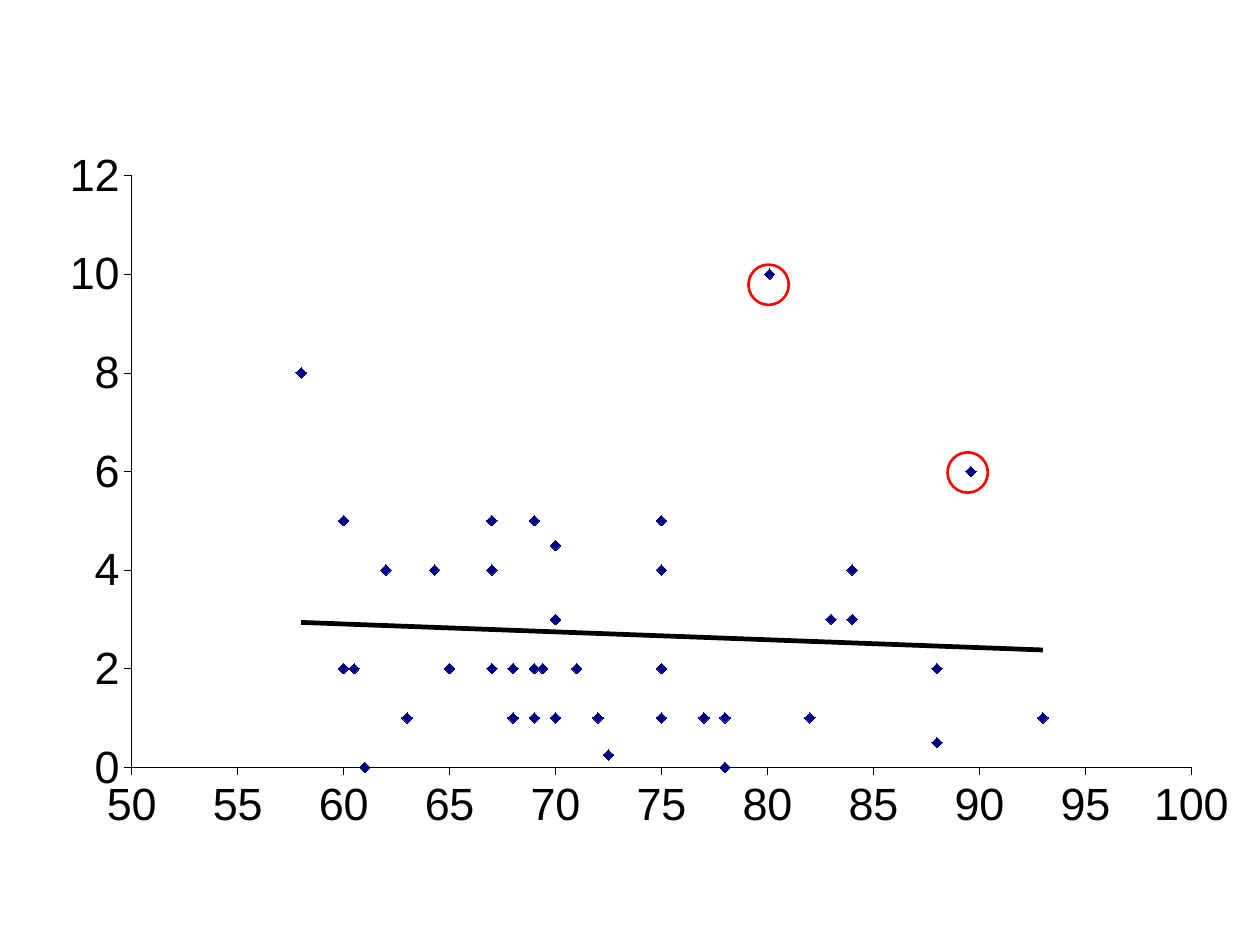
from typing import NamedTuple

from lxml import etree
from pptx import Presentation
from pptx import util as u
from pptx.chart.data import XyChartData
from pptx.dml.color import RGBColor
from pptx.enum import chart as charts, shapes
from pptx.oxml import parse_xml
from pptx.oxml.ns import nsdecls, qn

BLACK = RGBColor(0x00, 0x00, 0x00)
NAVY = RGBColor(0x00, 0x00, 0x80)
RED = RGBColor(0xFF, 0x00, 0x00)
FONT = "Arial"
RING_SIZE = 0.32


class Ring(NamedTuple):
    left: float
    top: float


class Scale(NamedTuple):
    low: float
    high: float
    step: float


class PlotFrame(NamedTuple):
    x: float
    y: float
    w: float
    h: float


RINGS = [Ring(5.94, 2.1), Ring(7.52, 3.59)]
X_SCALE = Scale(50, 100, 5)
Y_SCALE = Scale(0, 12, 2)
PLOT = PlotFrame(0.084, 0.127, 0.889, 0.742)
POINTS = [
    (75, 5), (63, 1), (70, 3), (68, 2), (60, 2), (58, 8), (67, 5), (80.1, 10), (64.3, 4),
    (84, 4), (62, 4), (72.5, 0.25), (70, 4.5), (75, 2), (77, 1), (61, 0), (69, 1), (84, 3),
    (71, 2), (78, 0), (75, 4), (70, 3), (82, 1), (60, 5), (89.6, 6), (93, 1), (83, 3),
    (65, 2), (67, 4), (78, 1), (88, 0.5), (72, 1), (67, 5), (69, 2), (69, 5), (68, 1),
    (65, 2), (65, 2), (88, 2), (68, 2), (67, 2), (60.5, 2), (70, 1), (75, 1), (69.4, 2),
]


def style_axis(axis, scale: Scale) -> None:
    axis.minimum_scale, axis.maximum_scale, axis.major_unit = scale
    axis.has_major_gridlines = False
    axis.has_minor_gridlines = False
    axis.major_tick_mark = charts.XL_TICK_MARK.OUTSIDE
    axis.minor_tick_mark = charts.XL_TICK_MARK.NONE
    axis.tick_label_position = charts.XL_TICK_LABEL_POSITION.NEXT_TO_AXIS
    axis.tick_labels.number_format = "General"
    axis.tick_labels.number_format_is_linked = False
    font = axis.tick_labels.font
    font.name, font.size = FONT, u.Pt(25.8)
    font.color.rgb = BLACK
    axis.format.line.color.rgb = BLACK
    axis.format.line.width = u.Pt(0.34)


def place_plot(chart, frame: PlotFrame) -> None:
    area = chart.element.find(".//" + qn("c:plotArea"))
    for old in area.findall(qn("c:layout")):
        area.remove(old)
    layout = etree.Element(qn("c:layout"))
    manual = etree.SubElement(layout, qn("c:manualLayout"))
    settings = {"layoutTarget": "inner", "xMode": "edge", "yMode": "edge", **frame._asdict()}
    for name, value in settings.items():
        etree.SubElement(manual, qn(f"c:{name}")).set("val", str(value))
    area.insert(0, layout)


def add_trend(series) -> None:
    trend = parse_xml(
        f"<c:trendline {nsdecls('c', 'a')}><c:spPr><a:ln w=\"{u.Pt(2.72)}\">"
        f"<a:solidFill><a:srgbClr val=\"{BLACK}\"/></a:solidFill></a:ln></c:spPr>"
        '<c:trendlineType val="linear"/><c:dispRSqr val="0"/><c:dispEq val="0"/></c:trendline>'
    )
    series._element.find(qn("c:xVal")).addprevious(trend)


def add_scatter(page) -> None:
    data = XyChartData()
    values = data.add_series("Series 1")
    for x, y in POINTS:
        values.add_data_point(x, y)
    chart = page.shapes.add_chart(
        charts.XL_CHART_TYPE.XY_SCATTER,
        u.Inches(0.25), u.Inches(0.59), u.Inches(9.5), u.Inches(6.33), data,
    ).chart
    chart.has_legend = False
    chart.has_title = False
    chart.font.name, chart.font.size = FONT, u.Pt(16.3)
    chart.font.color.rgb = BLACK
    plot = chart.plots[0]
    plot.vary_by_categories = False
    series = plot.series[0]
    series.smooth = False
    series.format.line.fill.background()
    series.marker.style = charts.XL_MARKER_STYLE.DIAMOND
    series.marker.size = 6
    series.marker.format.fill.solid()
    series.marker.format.fill.fore_color.rgb = NAVY
    series.marker.format.line.color.rgb = NAVY
    add_trend(series)
    style_axis(chart.category_axis, X_SCALE)
    style_axis(chart.value_axis, Y_SCALE)
    place_plot(chart, PLOT)


def add_ring(group, ring: Ring) -> None:
    oval = group.shapes.add_shape(
        shapes.MSO_SHAPE.OVAL,
        u.Inches(ring.left), u.Inches(ring.top), u.Inches(RING_SIZE), u.Inches(RING_SIZE),
    )
    oval.shadow.inherit = False
    oval.fill.background()
    oval.line.color.rgb = RED
    oval.line.width = u.Pt(1.5)


def main() -> None:
    deck = Presentation()
    deck.slide_width, deck.slide_height = u.Inches(10), u.Inches(7.5)
    page = deck.slides.add_slide(deck.slide_layouts[6])
    add_scatter(page)
    group = page.shapes.add_group_shape()
    for ring in RINGS:
        add_ring(group, ring)
    deck.save("out.pptx")


if __name__ == "__main__":
    main()
